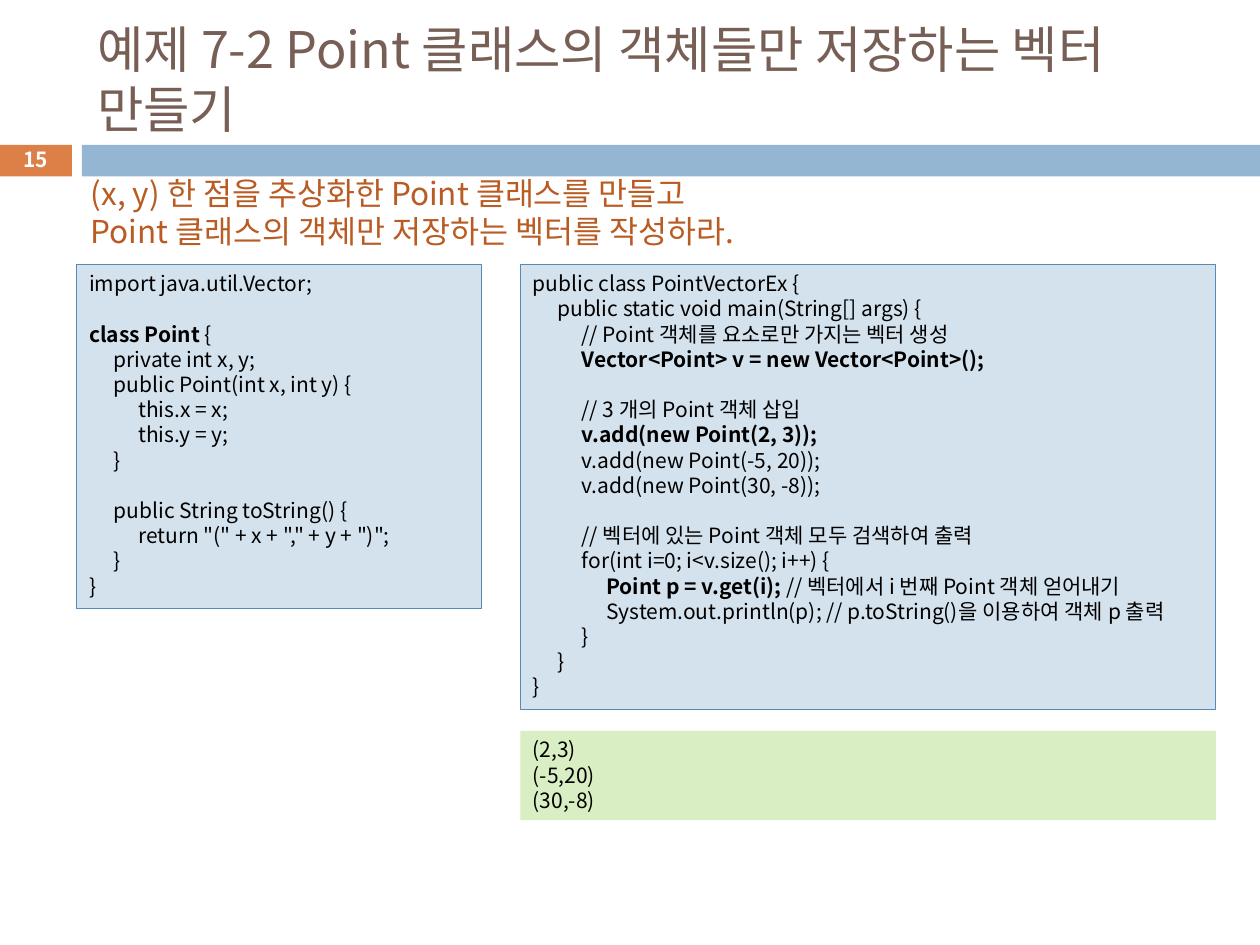
from dataclasses import dataclass

from pptx import Presentation
from pptx.dml.color import RGBColor as Rgb
from pptx.enum.shapes import MSO_SHAPE as Shape
from pptx.enum.text import MSO_ANCHOR as Anchor, MSO_AUTO_SIZE as AutoSize, PP_ALIGN as Align
from pptx.oxml.ns import qn
from pptx.util import Inches, Pt


@dataclass(frozen=True)
class Theme:
    font: str = "Noto Sans CJK KR"
    title: str = "775F55"
    task: str = "B95B22"
    code: str = "000000"
    number: str = "FFFFFF"
    number_tab: str = "DD8047"
    band: str = "94B6D2"
    code_fill: str = "D4E2ED"
    code_line: str = "558BB8"
    output_fill: str = "DAEEC4"
    title_size: float = 28.8
    task_size: float = 18
    code_size: float = 12
    number_size: float = 11.9
    leading: float = 1.2
    indent: float = 14
    max_depth: int = 3


THEME = Theme()

POINT_CLASS = """import java.util.Vector;

**class Point **{
\tprivate int x, y;
\tpublic Point(int x, int y) {
\t\tthis.x = x;
\t\tthis.y = y;
\t}

\tpublic String toString() {
\t\treturn "(" + x + "," + y + ")";
\t}
}"""

VECTOR_CLASS = """public class PointVectorEx {
\tpublic static void main(String[] args) {
\t\t// Point 객체를 요소로만 가지는 벡터 생성
\t\t**Vector<Point> v = new Vector<Point>();**

\t\t// 3 개의 Point 객체 삽입
\t\t**v.add(new Point(2, 3));**
\t\tv.add(new Point(-5, 20));
\t\tv.add(new Point(30, -8));

\t\t// 벡터에 있는 Point 객체 모두 검색하여 출력
\t\tfor(int i=0; i<v.size(); i++) {
\t\t\t**Point p = v.get(i);** // 벡터에서 i 번째 Point 객체 얻어내기
\t\t\tSystem.out.println(p); // p.toString()을 이용하여 객체 p 출력
\t\t}
\t}
}"""


def write_text(frame, text, *, size, color, bold=False, align=Align.LEFT,
               anchor=Anchor.TOP, tabs=False):
    """Fill a frame line by line, with text between double asterisks in bold."""
    frame.word_wrap = True
    frame.auto_size = AutoSize.NONE
    frame.vertical_anchor = anchor
    for index, line in enumerate(text.split("\n")):
        paragraph = frame.add_paragraph() if index else frame.paragraphs[0]
        paragraph.alignment = align
        paragraph.line_spacing = Pt(size * THEME.leading)
        paragraph.space_before = Pt(0)
        if tabs:
            stops = paragraph._p.get_or_add_pPr().makeelement(qn("a:tabLst"), {})
            paragraph._p.pPr.append(stops)
            for depth in range(1, THEME.max_depth + 1):
                stop = {"pos": str(Pt(THEME.indent * depth)), "algn": "l"}
                stops.append(stops.makeelement(qn("a:tab"), stop))
        for part, piece in enumerate(line.split("**")):
            if not piece:
                continue
            run = paragraph.add_run()
            run.text = piece
            run.font.size = Pt(size)
            run.font.bold = bold or part % 2 == 1
            run.font.color.rgb = Rgb.from_string(color)
            run.font.name = THEME.font
            properties = run.font._element
            properties.append(properties.makeelement(qn("a:ea"), {"typeface": THEME.font}))


class SlideBuilder:
    """Hold the theme and the current slide, and add each kind of element."""

    def __init__(self, slide, theme):
        self.slide = slide
        self.theme = theme

    def title(self, text, *box):
        heading = self.slide.shapes.title
        heading.left, heading.top, heading.width, heading.height = map(Inches, box)
        write_text(heading.text_frame, text, size=self.theme.title_size,
                   color=self.theme.title, anchor=Anchor.MIDDLE)

    def panel(self, fill, *box, line=None):
        panel = self.slide.shapes.add_shape(Shape.RECTANGLE, *map(Inches, box))
        panel.shadow.inherit = False
        panel.fill.solid()
        panel.fill.fore_color.rgb = Rgb.from_string(fill)
        if line:
            panel.line.color.rgb = Rgb.from_string(line)
            panel.line.width = Pt(0.75)
        else:
            panel.line.fill.background()
        return panel

    def code(self, text, fill, *box, line=None):
        panel = self.panel(fill, *box, line=line)
        write_text(panel.text_frame, text, size=self.theme.code_size,
                   color=self.theme.code, tabs=True)

    def label(self, text, *box, **style):
        label = self.slide.shapes.add_textbox(*map(Inches, box))
        write_text(label.text_frame, text, **style)


def main():
    deck = Presentation()
    deck.slide_width, deck.slide_height = Inches(10), Inches(7.5)
    page = SlideBuilder(deck.slides.add_slide(deck.slide_layouts[5]), THEME)

    page.panel(THEME.number_tab, -0.01, 1.15, 0.58, 0.25)
    page.panel(THEME.band, 0.65, 1.15, 9.35, 0.25)
    page.title("예제 7-2 Point 클래스의 객체들만 저장하는 벡터 만들기", 0.67, 0.25, 8.92, 0.74)
    page.label("15", -0.01, 1.13, 0.58, 0.27, size=THEME.number_size, color=THEME.number,
               bold=True, align=Align.CENTER, anchor=Anchor.MIDDLE)
    page.label("(x, y) 한 점을 추상화한 Point 클래스를 만들고\n"
               "Point 클래스의 객체만 저장하는 벡터를 작성하라.",
               0.62, 1.33, 5.75, 0.71, size=THEME.task_size, color=THEME.task)

    code_top, right_column, right_width = 2.1, 4.13, 5.52
    page.code(POINT_CLASS, THEME.code_fill, 0.61, code_top, 3.21, 2.73, line=THEME.code_line)
    page.code("(2,3)\n(-5,20)\n(30,-8)", THEME.output_fill,
              right_column, 5.8, right_width, 0.71)
    page.code(VECTOR_CLASS, THEME.code_fill, right_column, code_top, right_width, 3.53,
              line=THEME.code_line)
    deck.save("out.pptx")


if __name__ == "__main__":
    main()
